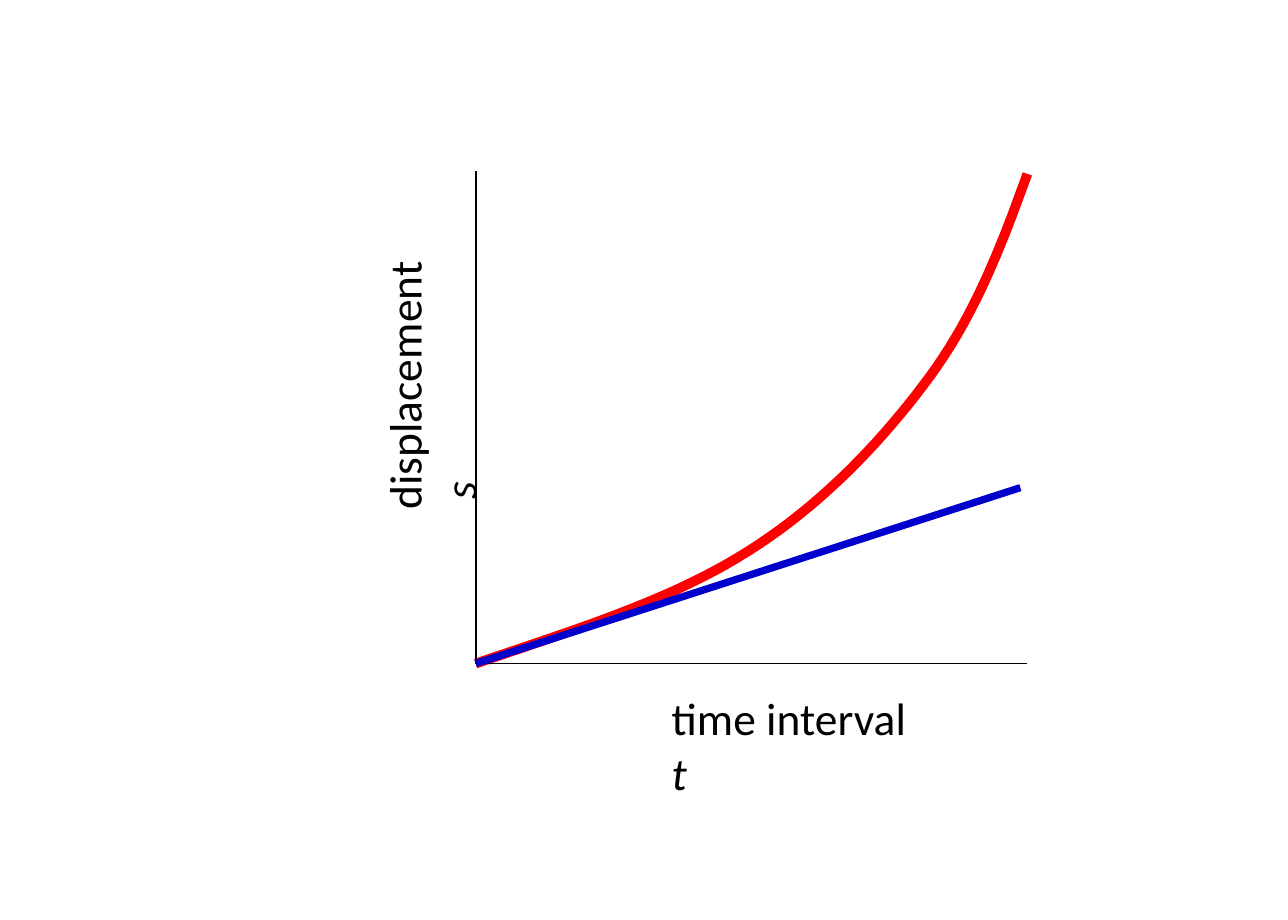
import pptx
import pptx.dml.color
import pptx.enum.shapes
import pptx.oxml.ns
import pptx.util
from lxml import etree

BLACK = pptx.dml.color.RGBColor(0x00, 0x00, 0x00)
RED = pptx.dml.color.RGBColor(0xFF, 0x00, 0x00)
BLUE = pptx.dml.color.RGBColor(0x00, 0x00, 0xCC)
SCALE = 3911
CURVE_STEPS = 20


def px(length):
    return pptx.util.Emu(length * SCALE)


presentation = pptx.Presentation()
presentation.slide_width = pptx.util.Emu(5040313)
presentation.slide_height = pptx.util.Emu(3600450)
slide = presentation.slides.add_slide(presentation.slide_layouts[6])

origin = (476, 664)
axis_lines = [
    ((476, 171), origin, BLACK, 0.5),
    (origin, (1028, 664), BLACK, 0.5),
]
tangent_line = (origin, (1021, 488), BLUE, 2.25)

curve_segments = [
    (origin, (573, 631), (671, 601), (748, 552)),
    ((748, 552), (823, 505), (884, 440), (931, 376)),
    ((931, 376), (977, 313), (1003, 243), (1028, 174)),
]
curve_points = []
for anchors in curve_segments:
    for step in range(1, CURVE_STEPS + 1):
        t = step / CURVE_STEPS
        u = 1 - t
        weights = (u**3, 3 * u**2 * t, 3 * u * t**2, t**3)
        curve_points.append(tuple(
            round(SCALE * sum(w * anchor[axis] for w, anchor in zip(weights, anchors)))
            for axis in (0, 1)
        ))

builder = slide.shapes.build_freeform(*map(px, origin))
builder.add_line_segments(curve_points, close=False)
curve = builder.convert_to_shape()
curve.shadow.inherit = False
curve.fill.background()
curve.line.color.rgb = RED
curve.line.width = pptx.util.Pt(3)

for start, end, color, width in axis_lines + [tangent_line]:
    line = slide.shapes.add_connector(
        pptx.enum.shapes.MSO_CONNECTOR.STRAIGHT, *map(px, start + end))
    line.line.color.rgb = color
    line.line.width = pptx.util.Pt(width)
    etree.SubElement(line._element.spPr, pptx.oxml.ns.qn("a:effectLst"))

axis_labels = [
    ((649, 679, 306, 70), 0, "time interval ", "t", False),
    ((250, 339, 309, 79), 270, "displacement ", " s", True),
]
for box, rotation, name, symbol, symbol_below in axis_labels:
    label = slide.shapes.add_textbox(*map(px, box))
    label.rotation = rotation
    label.text_frame.word_wrap = symbol_below
    paragraph = label.text_frame.paragraphs[0]
    for text, italic in ((name, False), (symbol, True)):
        if italic and symbol_below:
            paragraph.add_line_break()
        run = paragraph.add_run()
        run.text = text
        run.font.color.rgb = BLACK
        font_format = {"name": "Calibri", "size": pptx.util.Pt(14), "italic": italic}
        for attribute, value in font_format.items():
            setattr(run.font, attribute, value)

presentation.save("out.pptx")
